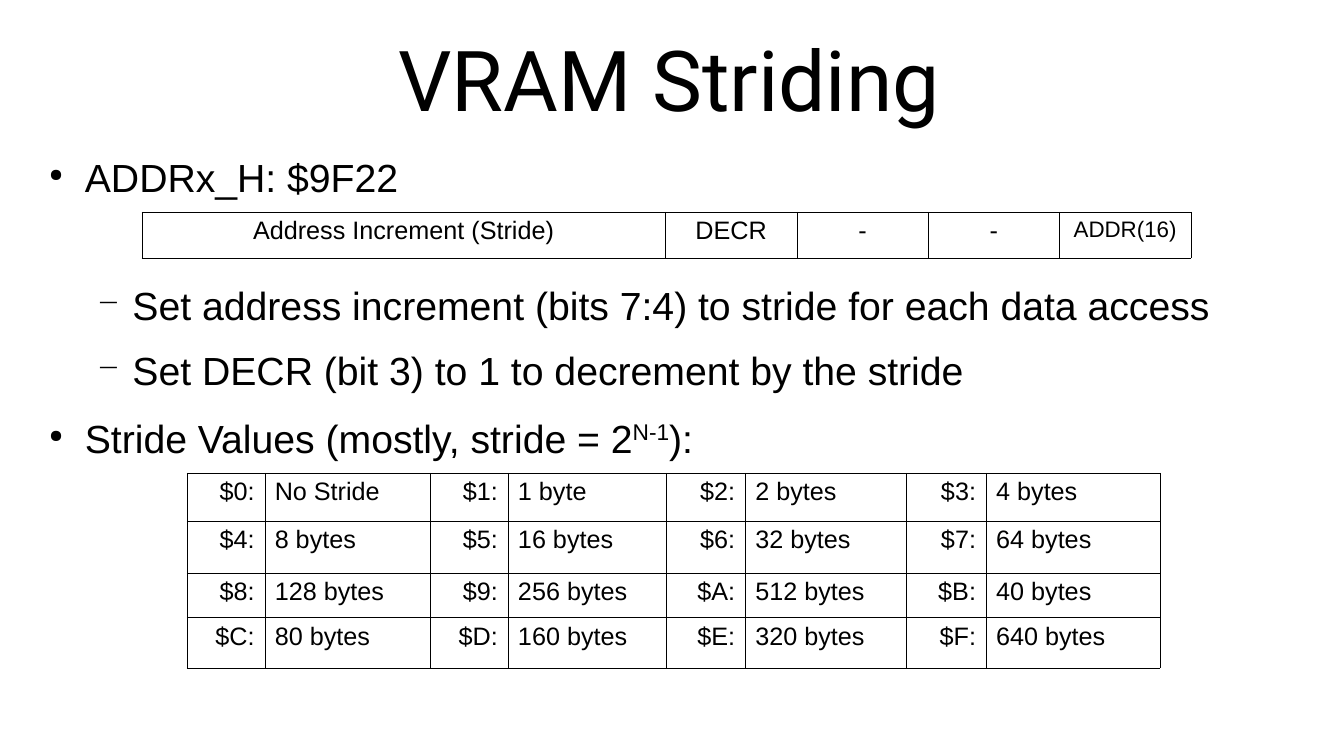
from dataclasses import dataclass
from lxml.etree import SubElement
from pptx import Presentation
from pptx.dml.color import RGBColor
from pptx.enum.text import MSO_ANCHOR, PP_ALIGN
from pptx.oxml.ns import qn
from pptx.util import Cm, Pt


@dataclass(frozen=True)
class Theme:
    ink: str = "000000"
    paper: str = "FFFFFF"
    title_font: str = "Roboto"
    body_font: str = "Arial"
    title_size: int = 60
    body_size: int = 28
    cell_size: int = 18
    small_size: int = 16
    border: float = 0.06


theme = Theme()


def add_text(p, text, *, size=theme.body_size, font=theme.body_font,
             align=PP_ALIGN.LEFT, raised=False):
    p.alignment = align
    r = p.add_run()
    r.text = text
    r.font.name, r.font.size = font, Pt(size)
    r.font.color.rgb = RGBColor.from_string(theme.ink)
    if raised:
        r.font._element.set("baseline", "33000")


def add_grid(left, top, widths, heights, rows):
    """Add a bordered table; rows hold (text, alignment, size) cells."""
    table = s.shapes.add_table(len(heights), len(widths), Cm(left), Cm(top),
                               Cm(sum(widths)), Cm(sum(heights))).table
    table.first_row = table.horz_banding = False
    for column, width in zip(table.columns, widths):
        column.width = Cm(width)
    for row, height, cells in zip(table.rows, heights, rows):
        row.height = Cm(height)
        for cell, (text, align, size) in zip(row.cells, cells):
            add_text(cell.text_frame.paragraphs[0], text, size=size, align=align)
            tcPr = cell._tc.get_or_add_tcPr()
            for side in ("a:lnL", "a:lnR", "a:lnT", "a:lnB"):
                ln = SubElement(tcPr, qn(side), w=str(int(Pt(theme.border))))
                fill = SubElement(ln, qn("a:solidFill"))
                SubElement(fill, qn("a:srgbClr"), val=theme.ink)
            cell.fill.solid()
            cell.fill.fore_color.rgb = RGBColor.from_string(theme.paper)


prs = Presentation()
prs.slide_width, prs.slide_height = Cm(33.87), Cm(19.05)
s = prs.slides.add_slide(prs.slide_layouts[6])

# Title
tf = s.shapes.add_textbox(Cm(0.48), Cm(0.28), Cm(32.77), Cm(3.68)).text_frame
tf.word_wrap = True
tf.vertical_anchor = MSO_ANCHOR.MIDDLE
tf.paragraphs[0].line_spacing = 0.9
add_text(tf.paragraphs[0], "VRAM Striding", size=theme.title_size,
         font=theme.title_font, align=PP_ALIGN.CENTER)

# Bullets: level, space before, text pieces (every second piece is raised)
bullets = [
    (0, 0, ["ADDRx_H: $9F22"]),
    (1, 57.8, ["Set address increment (bits 7:4) to stride for each data access"]),
    (1, 12.8, ["Set DECR (bit 3) to 1 to decrement by the stride"]),
    (0, 14.9, ["Stride Values (mostly, stride = 2", "N-1", "):"]),
]
marks = [("●", "45000"), ("−", "75000")]
tf = s.shapes.add_textbox(Cm(0.94), Cm(3.73), Cm(31.37), Cm(8.2)).text_frame
tf.word_wrap = True
tf.margin_left = tf.margin_right = 0
for i, (level, space, pieces) in enumerate(bullets):
    p = tf.add_paragraph() if i else tf.paragraphs[0]
    mark, mark_size = marks[level]
    pPr = p._p.get_or_add_pPr()
    pPr.set("marL", str(Cm(1.2 * (level + 1))))
    pPr.set("indent", str(Cm(-0.9)))
    SubElement(pPr, qn("a:buSzPct"), val=mark_size)
    SubElement(pPr, qn("a:buChar"), char=mark)
    p.level = level
    p.space_before = Pt(space)
    for j, piece in enumerate(pieces):
        add_text(p, piece, raised=j % 2 == 1)

# Register layout
fields = ["Address Increment (Stride)", "DECR", "-", "-", "ADDR(16)"]
sizes = [theme.cell_size] * 4 + [theme.small_size]
add_grid(3.57, 5.34, [13.2] + [3.31] * 4, [1.16],
         [[(field, PP_ALIGN.CENTER, size) for field, size in zip(fields, sizes)]])

# Stride values
strides = ["No Stride", "1 byte"] + [
    f"{n} bytes" for n in (2, 4, 8, 16, 32, 64, 128, 256, 512, 40, 80, 160, 320, 640)]
stride_rows = []
for first in range(0, len(strides), 4):
    cells = []
    for n in range(first, first + 4):
        cells += [(f"${n:X}:", PP_ALIGN.RIGHT, theme.cell_size),
                  (strides[n], PP_ALIGN.LEFT, theme.cell_size)]
    stride_rows.append(cells)
add_grid(4.71, 11.92, [1.96, 4.18, 1.95, 3.99, 1.99, 4.05, 2.02, 4.38],
         [1.21, 1.3, 1.12, 1.28], stride_rows)

prs.save("out.pptx")
